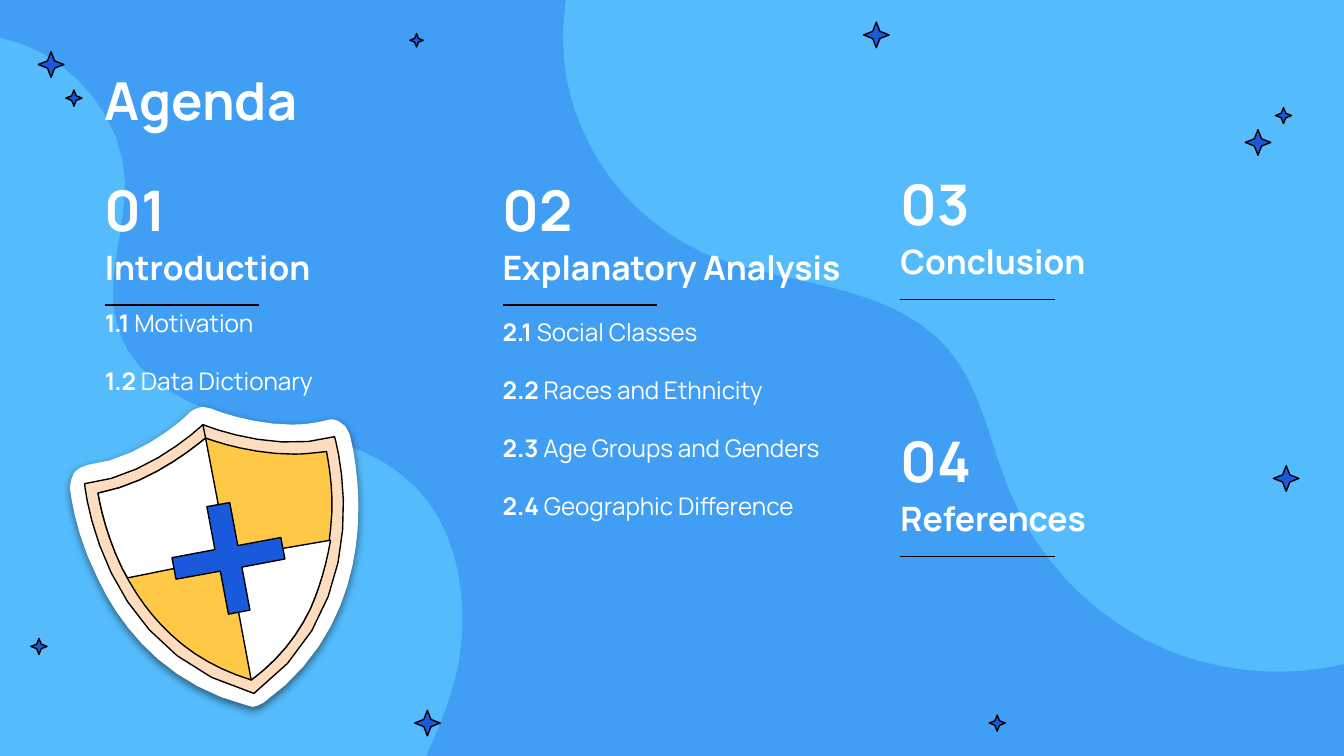
import math
import pptx
import pptx.util
import pptx.dml.color
import pptx.enum.shapes
import pptx.enum.text
import pptx.oxml
import pptx.oxml.ns

THEME = {
    "font": "Manrope", "text": "FFFFFF", "line": "000000", "back": "409FF4",
    "wave": "54BCFC", "star": "185ADB", "rim": "FEDDBE", "gold": "FFC947",
    "white": "FFFFFF", "title": 28, "count": 30, "head": 18, "item": 13,
    "gap": 15.5, "rule": 0.75,
}
WIDE, HIGH = 10, 10 * 9 / 16
LEFT, STEP, SPAN = 0.78, 2.96, 2.53

TITLE = "Agenda"
PARTS = [
    {"col": 0, "top": 1.34, "num": "01", "head": "Introduction", "tall": 0.52, "mid": True,
     "list": [("1.1", "Motivation"), ("1.2", "Data Dictionary")]},
    {"col": 1, "top": 1.34, "num": "02", "head": "Explanatory Analysis", "tall": 1.69, "mid": False,
     "list": [("2.1", "Social Classes"), ("2.2", "Races and Ethnicity"),
              ("2.3", "Age Groups and Genders"), ("2.4", "Geographic Difference")]},
    {"col": 2, "top": 1.30, "num": "03", "head": "Conclusion", "list": []},
    {"col": 2, "top": 3.21, "num": "04", "head": "References", "list": []},
]

BIG, SMALL = 0.19, 0.12
STARS = [
    (7.42, 5.38, SMALL), (0.55, 0.73, SMALL), (0.38, 0.48, BIG), (9.36, 1.06, BIG),
    (9.55, 0.86, SMALL), (9.57, 3.56, BIG), (0.29, 4.81, SMALL), (3.10, 0.30, 0.1),
    (6.52, 0.26, BIG), (3.18, 5.38, BIG),
]

WAVES = [
    [(10, 4.94), (9.56, 5.05, 9.08, 5, 8.67, 4.83), (8.15, 4.61, 7.73, 4.18, 7.52, 3.67),
     (7.36, 3.3, 7.31, 2.89, 7.05, 2.59), (6.83, 2.34, 6.51, 2.22, 6.19, 2.14),
     (5.87, 2.06, 5.54, 2.01, 5.23, 1.88), (4.82, 1.69, 4.49, 1.35, 4.32, 0.93),
     (4.23, 0.72, 4.19, 0.5, 4.19, 0.27), (4.19, 0.18, 4.2, 0.09, 4.21, 0), (10, 0)],
    [(3.44, 4.59), (3.44, 4.71, 3.43, 4.83, 3.41, 4.95), (3.36, 5.18, 3.27, 5.41, 3.17, HIGH),
     (0, HIGH), (0, 0.28), (0.49, 0.38, 0.91, 0.84, 0.93, 1.35),
     (0.93, 1.66, 0.84, 1.93, 0.84, 2.18), (0.84, 2.28, 0.86, 2.38, 0.89, 2.48),
     (1.02, 2.85, 1.45, 3.05, 1.84, 3.14), (2.23, 3.23, 2.65, 3.27, 2.97, 3.52),
     (3.3, 3.76, 3.44, 4.18, 3.44, 4.59)],
]

EDGE = [
    (1.52, 3.03), (1.57, 3.04), (1.59, 3.05, 1.87, 3.16, 2.17, 3.16),
    (2.25, 3.16, 2.34, 3.15, 2.42, 3.13), (2.46, 3.12),
    (2.49, 3.12, 2.52, 3.13, 2.54, 3.15), (2.56, 3.16, 2.58, 3.18, 2.59, 3.21), (2.6, 3.23),
    (2.61, 3.26, 2.69, 3.57, 2.66, 3.95), (2.63, 4.32, 2.49, 4.85, 1.96, 5.23),
    (1.92, 5.25), (1.88, 5.26), (1.84, 5.25),
    (1.22, 5.09, 0.89, 4.65, 0.73, 4.31), (0.55, 3.96, 0.52, 3.63, 0.52, 3.62),
    (0.53, 3.57), (0.55, 3.52), (0.57, 3.5), (0.6, 3.48), (0.65, 3.46),
    (1.05, 3.42, 1.41, 3.08, 1.41, 3.07), (1.44, 3.05), (1.49, 3.03),
]
SHIELD = [
    ("rim", [(1.51, 3.16), (1.51, 3.16, 2.04, 3.38, 2.49, 3.25),
             (2.49, 3.25, 2.85, 4.46, 1.89, 5.16), (0.74, 4.85, 0.63, 3.6, 0.63, 3.6),
             (1.11, 3.55, 1.51, 3.16, 1.51, 3.16)]),
    ("gold", [(1.53, 3.26), (1.64, 3.3, 1.9, 3.38, 2.19, 3.38),
              (2.26, 3.38, 2.35, 3.37, 2.43, 3.36), (2.45, 3.47, 2.49, 3.69, 2.46, 3.94),
              (2.44, 4.15, 2.39, 4.35, 2.31, 4.53), (2.21, 4.74, 2.06, 4.92, 1.87, 5.06),
              (1.64, 4.99, 1.44, 4.88, 1.27, 4.72), (1.13, 4.59, 1.01, 4.43, 0.91, 4.23),
              (0.8, 4, 0.75, 3.79, 0.73, 3.67), (1.11, 3.6, 1.42, 3.35, 1.53, 3.26)]),
    ("white", [(1.53, 3.26), (1.7, 4.15), (0.95, 4.3), (0.91, 4.23),
               (0.8, 4, 0.75, 3.79, 0.73, 3.67), (1.11, 3.6, 1.42, 3.35, 1.53, 3.26)]),
    ("white", [(2.46, 4.02), (2.43, 4.2, 2.38, 4.37, 2.31, 4.53),
               (2.21, 4.74, 2.06, 4.92, 1.87, 5.06), (1.7, 4.15)]),
    ("star", [(1.71, 3.74), (1.77, 4.06), (2.09, 4), (2.12, 4.16), (1.8, 4.22), (1.86, 4.54),
              (1.7, 4.57), (1.64, 4.25), (1.31, 4.31), (1.28, 4.15), (1.6, 4.09), (1.54, 3.77)]),
]

SHADE = """<a:effectLst %s><a:outerShdw blurRad="57150" dist="19050" dir="5400000"
 algn="bl" rotWithShape="0"><a:srgbClr val="000000"><a:alpha val="50000"/></a:srgbClr>
</a:outerShdw></a:effectLst>""" % pptx.oxml.ns.nsdecls("a")

Inch, Pt = pptx.util.Inches, pptx.util.Pt


def tint(name):
    return pptx.dml.color.RGBColor.from_string(THEME[name])


def trace(path):
    dots = [path[0]]
    for seg in path[1:]:
        if len(seg) == 2:
            dots.append(seg)
            continue
        ends = [dots[-1], seg[:2], seg[2:4], seg[4:]]
        steps = math.ceil(7 * math.sqrt(math.dist(ends[0], ends[3])))
        for k in range(1, steps + 1):
            t = k / steps
            mix = ((1 - t) ** 3, 3 * t * (1 - t) ** 2, 3 * t * t * (1 - t), t ** 3)
            dots.append(tuple(sum(m * e[i] for m, e in zip(mix, ends)) for i in (0, 1)))
    return [(Inch(x), Inch(y)) for x, y in dots]


def ink(line):
    line.color.rgb = tint("line")
    line.width = Pt(THEME["rule"])


def paint(shape, fill, lined=True):
    shape.shadow.inherit = False
    shape.fill.solid()
    shape.fill.fore_color.rgb = tint(fill)
    if lined:
        ink(shape.line)
    else:
        shape.line.fill.background()


def blob(slide, path, fill, lined=True):
    dots = trace(path)
    pen = slide.shapes.build_freeform(*dots[0], scale=1.0)
    pen.add_line_segments(dots[1:], close=True)
    shape = pen.convert_to_shape()
    paint(shape, fill, lined)
    return shape


def star(slide, x, y, size):
    shape = slide.shapes.add_shape(
        pptx.enum.shapes.MSO_SHAPE.STAR_4_POINT,
        Inch(x - size / 2), Inch(y - size / 2), Inch(size), Inch(size))
    shape.adjustments[0] = 0.2
    paint(shape, "star")


def rule(slide, x, y, to_x, to_y):
    line = slide.shapes.add_connector(
        pptx.enum.shapes.MSO_CONNECTOR.STRAIGHT, Inch(x), Inch(y), Inch(to_x), Inch(to_y))
    ink(line.line)
    line._element.spPr.append(
        pptx.oxml.parse_xml("<a:effectLst %s/>" % pptx.oxml.ns.nsdecls("a")))


def write(slide, x, y, w, h, rows, size, mid=True):
    frame = slide.shapes.add_textbox(Inch(x), Inch(y), Inch(w), Inch(h)).text_frame
    frame.word_wrap = True
    frame.margin_left = frame.margin_right = frame.margin_top = frame.margin_bottom = 0
    spot = pptx.enum.text.MSO_ANCHOR
    frame.vertical_anchor = spot.MIDDLE if mid else spot.TOP
    for n, runs in enumerate(rows):
        para = frame.add_paragraph() if n else frame.paragraphs[0]
        if n:
            para.space_before = Pt(THEME["gap"])
        for text, bold in runs:
            run = para.add_run()
            run.text = text
            run.font.name = THEME["font"]
            run.font.size = Pt(THEME[size])
            run.font.bold = bold
            run.font.color.rgb = tint("text")


def main():
    deck = pptx.Presentation()
    deck.slide_width, deck.slide_height = Inch(WIDE), Inch(HIGH)
    slide = deck.slides.add_slide(deck.slide_layouts[6])
    slide.background.fill.solid()
    slide.background.fill.fore_color.rgb = tint("back")
    for wave in WAVES:
        blob(slide, wave, "wave", lined=False)
    for spot in STARS:
        star(slide, *spot)

    write(slide, LEFT, 0.51, WIDE - 2 * LEFT, 0.5, [[(TITLE, True)]], "title", mid=False)
    for part in PARTS:
        x, y = LEFT + part["col"] * STEP, part["top"]
        write(slide, x, y + 0.45, SPAN + 0.23, 0.39, [[(part["head"], True)]], "head")
        write(slide, x, y, SPAN, 0.43, [[(part["num"], True)]], "count")
        rule(slide, x, y + 0.93, x + 1.15, y + 0.93)
        if part["list"]:
            rows = [[(num + " ", True), (name, False)] for num, name in part["list"]]
            write(slide, x, y + 1.02, SPAN + 0.13, part["tall"], rows, "item", part["mid"])

    edge = blob(slide, EDGE, "white", lined=False)
    props = edge._element.spPr
    props.remove(props.find(pptx.oxml.ns.qn("a:effectLst")))
    props.append(pptx.oxml.parse_xml(SHADE))
    for fill, path in SHIELD:
        blob(slide, path, fill)
    rule(slide, 1.51, 3.16, 1.53, 3.26)
    deck.save("out.pptx")


if __name__ == "__main__":
    main()
